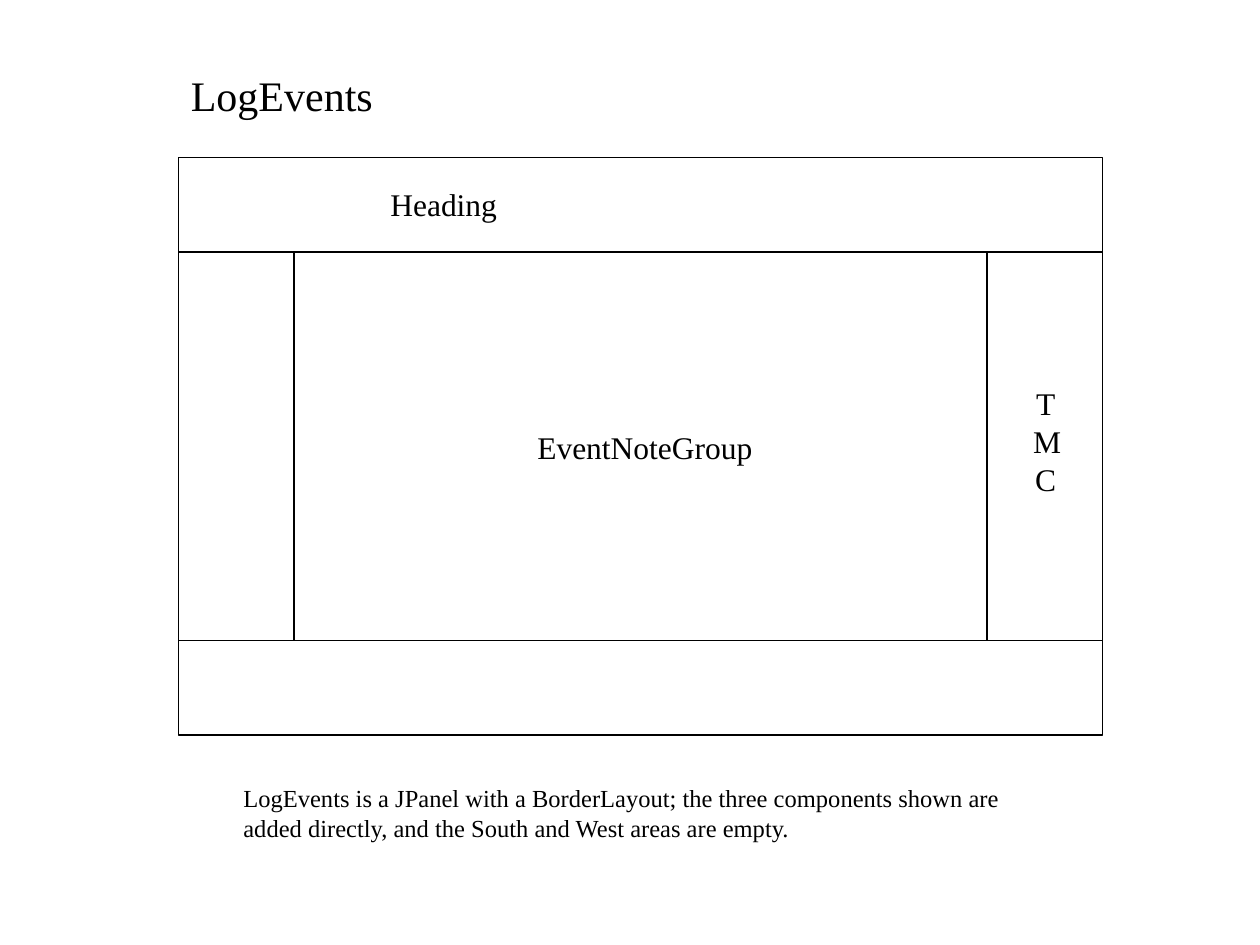
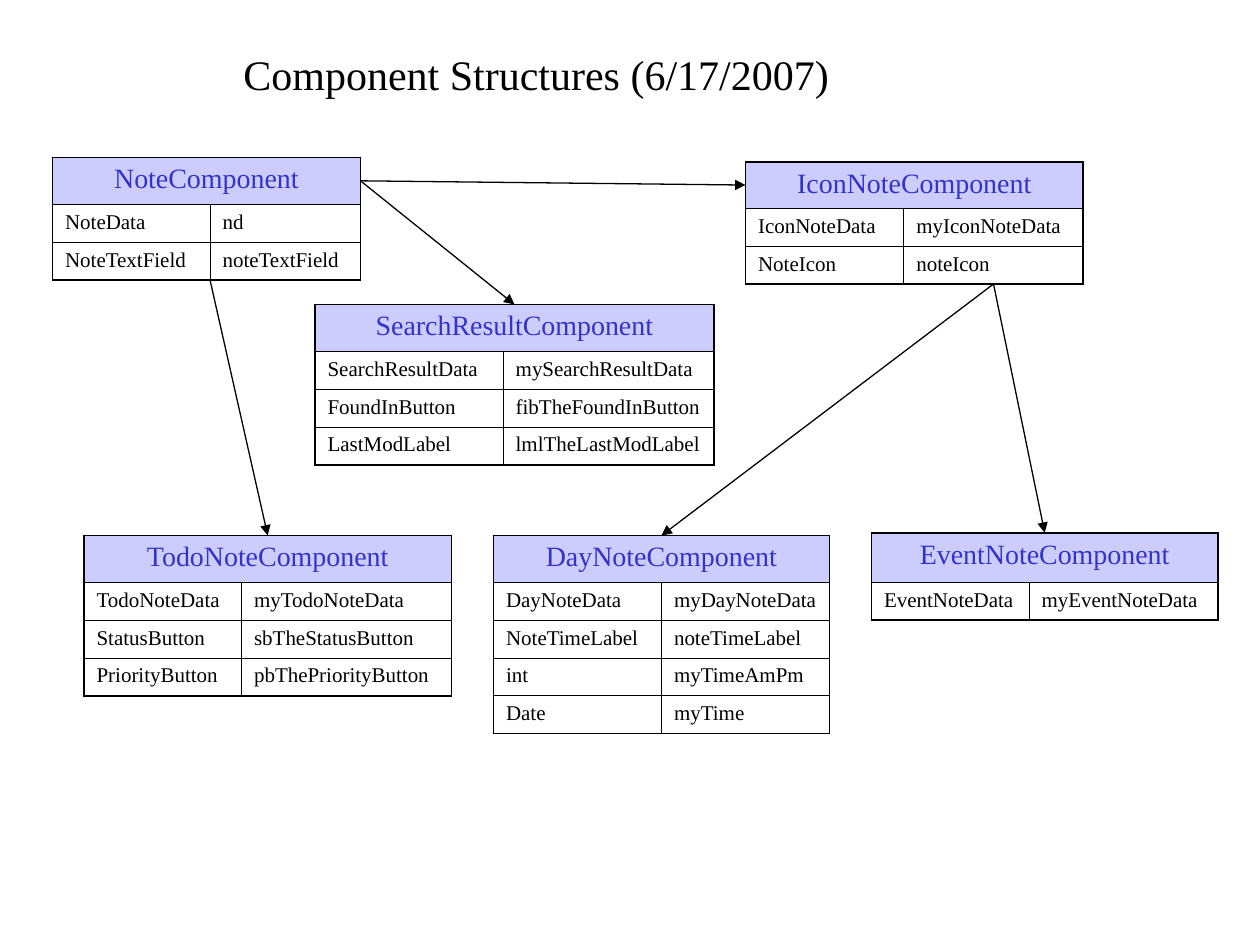
from lxml.etree import SubElement
from pptx import Presentation
from pptx.dml.color import RGBColor
from pptx.enum.shapes import MSO_CONNECTOR, MSO_SHAPE
from pptx.enum.text import MSO_AUTO_SIZE, PP_ALIGN
from pptx.oxml.ns import qn
from pptx.util import Pt

FONT = "Times New Roman"
BLACK, HEADER_TEXT, HEADER_FILL = "000000", "3333CC", "CCCCFF"
LINE_WIDTH = 0.75
OUTER_BORDER, INNER_BORDER = 1.08, 0.45
HEADER_HEIGHT, ROW_HEIGHT = 26.7, 21.6
TITLE_SIZE, LABEL_SIZE, NOTE_SIZE = 24, 18, 14


def color(hex_string):
    return RGBColor.from_string(hex_string)


def style_text(para, size, hex_string=BLACK, align=None):
    para.font.name = FONT
    para.font.size = Pt(size)
    para.font.color.rgb = color(hex_string)
    para.alignment = align


def add_text(page, box, text, size, align=None):
    label = page.shapes.add_textbox(*map(Pt, box))
    frame = label.text_frame
    frame.word_wrap = True
    frame.auto_size = MSO_AUTO_SIZE.SHAPE_TO_FIT_TEXT
    frame.text = text
    style_text(frame.paragraphs[0], size, align=align)
    return label


def add_line(page, start, end, arrow=False):
    line = page.shapes.add_connector(
        MSO_CONNECTOR.STRAIGHT, *map(Pt, (*start, *end)))
    line.line.color.rgb = color(BLACK)
    line.line.width = Pt(LINE_WIDTH)
    properties = line._element.spPr
    if arrow:
        SubElement(properties.find(qn("a:ln")), qn("a:tailEnd"), type="triangle")
    SubElement(properties, qn("a:effectLst"))


def border_layout(page, box, band, side):
    """Frame with North and South bands and West and East columns."""
    left, top, width, height = box
    right, bottom = left + width, top + height
    frame = page.shapes.add_shape(MSO_SHAPE.RECTANGLE, *map(Pt, box))
    frame.shadow.inherit = False
    frame.fill.background()
    frame.line.color.rgb = color(BLACK)
    frame.line.width = Pt(LINE_WIDTH)

    for y in (top + band, bottom - band):
        add_line(page, (left, y), (right, y))
    for x in (left + side, right - side):
        add_line(page, (x, top + band), (x, bottom - band))

    # Component names
    add_text(page, (left + 114, top + 12, 120, 28.8), "Heading", LABEL_SIZE)
    add_text(page, (left + 198, top + 151.2, 138, 28.8), "EventNoteGroup", LABEL_SIZE)

    # Upright letters stacked in the East column
    east = add_text(page, (left + 456, top + 151.2, 79.2, 28.8), "TMC",
                    LABEL_SIZE, PP_ALIGN.CENTER)
    east.rotation = 270
    inner = east.text_frame
    inner.margin_left = inner.margin_right = Pt(3.6)
    inner.margin_top = inner.margin_bottom = Pt(7.2)
    inner._txBody.bodyPr.set("vert", "eaVert")


def set_borders(cell, widths):
    """Border widths in the order left, right, top, bottom."""
    properties = cell._tc.get_or_add_tcPr()
    for side, width in zip(("lnL", "lnR", "lnT", "lnB"), widths):
        border = SubElement(properties, qn(f"a:{side}"), w=str(int(Pt(width))))
        fill = SubElement(border, qn("a:solidFill"))
        SubElement(fill, qn("a:srgbClr"), val=BLACK)


def component_table(page, left, top, columns, name, fields,
                    header_height=HEADER_HEIGHT):
    """Class table; returns the points where arrows can meet it."""
    width = sum(columns)
    height = header_height + ROW_HEIGHT * len(fields)
    last = len(fields)
    table = page.shapes.add_table(
        last + 1, 2, *map(Pt, (left, top, width, height))).table
    table.first_row = table.horz_banding = False
    for column, column_width in zip(table.columns, columns):
        column.width = Pt(column_width)

    for r, texts in enumerate([(name, ""), *fields]):
        header = r == 0
        table.rows[r].height = Pt(header_height if header else ROW_HEIGHT)
        for c, text in enumerate(texts):
            cell = table.cell(r, c)
            edges = (c == 0, c == 1 or header, header, r == last)
            set_borders(cell, [OUTER_BORDER if edge else INNER_BORDER
                               for edge in edges])
            if header:
                cell.fill.solid()
                cell.fill.fore_color.rgb = color(HEADER_FILL)
            else:
                cell.fill.background()
            if text:
                cell.text = text
                look = (16, HEADER_TEXT, PP_ALIGN.CENTER) if header else (12,)
                style_text(cell.text_frame.paragraphs[0], *look)
    table.cell(0, 0).merge(table.cell(0, 1))

    header_middle = top + header_height / 2
    return {
        "top": (left + width / 2, top),
        "header left": (left, header_middle),
        "header right": (left + width, header_middle),
        "divider bottom": (left + columns[0], top + height),
        "second column bottom": (left + columns[0] + columns[1] / 2, top + height),
    }


def log_events_page(page):
    add_text(page, (102, 36, 246, 36), "LogEvents", TITLE_SIZE)
    border_layout(page, (102, 90, 528, 330), band=54, side=66)
    add_text(page, (132, 444, 468, 41),
             "LogEvents is a JPanel with a BorderLayout; the three components "
             "shown are added directly, and the South and West areas are empty.",
             NOTE_SIZE)


def component_structures_page(page):
    add_text(page, (132, 24, 414, 36), "Component Structures (6/17/2007)", TITLE_SIZE)

    # Base components
    note = component_table(page, 30, 90, (90, 86), "NoteComponent", [
        ("NoteData", "nd"),
        ("NoteTextField", "noteTextField")])
    icon = component_table(page, 426, 92.4, (90.5, 102.5), "IconNoteComponent", [
        ("IconNoteData", "myIconNoteData"),
        ("NoteIcon", "noteIcon")])

    # Derived components
    search = component_table(page, 180, 174, (107.5, 120.5), "SearchResultComponent", [
        ("SearchResultData", "mySearchResultData"),
        ("FoundInButton", "fibTheFoundInButton"),
        ("LastModLabel", "lmlTheLastModLabel")])
    todo = component_table(page, 48, 306, (90, 120), "TodoNoteComponent", [
        ("TodoNoteData", "myTodoNoteData"),
        ("StatusButton", "sbTheStatusButton"),
        ("PriorityButton", "pbThePriorityButton")])
    day = component_table(page, 282, 306, (96, 96), "DayNoteComponent", [
        ("DayNoteData", "myDayNoteData"),
        ("NoteTimeLabel", "noteTimeLabel"),
        ("int", "myTimeAmPm"),
        ("Date", "myTime")])
    event = component_table(page, 498, 304.5, (90, 108), "EventNoteComponent", [
        ("EventNoteData", "myEventNoteData")], header_height=28.2)

    # Inheritance arrows
    for start, end in (
            (note["header right"], icon["header left"]),
            (note["header right"], search["top"]),
            (note["divider bottom"], todo["top"]),
            (icon["second column bottom"], day["top"]),
            (icon["second column bottom"], event["top"])):
        add_line(page, start, end, arrow=True)


def main():
    deck = Presentation()
    deck.slide_width, deck.slide_height = Pt(720), Pt(540)
    blank = deck.slide_layouts[6]
    for build in (log_events_page, component_structures_page):
        build(deck.slides.add_slide(blank))
    deck.save("out.pptx")


if __name__ == "__main__":
    main()
